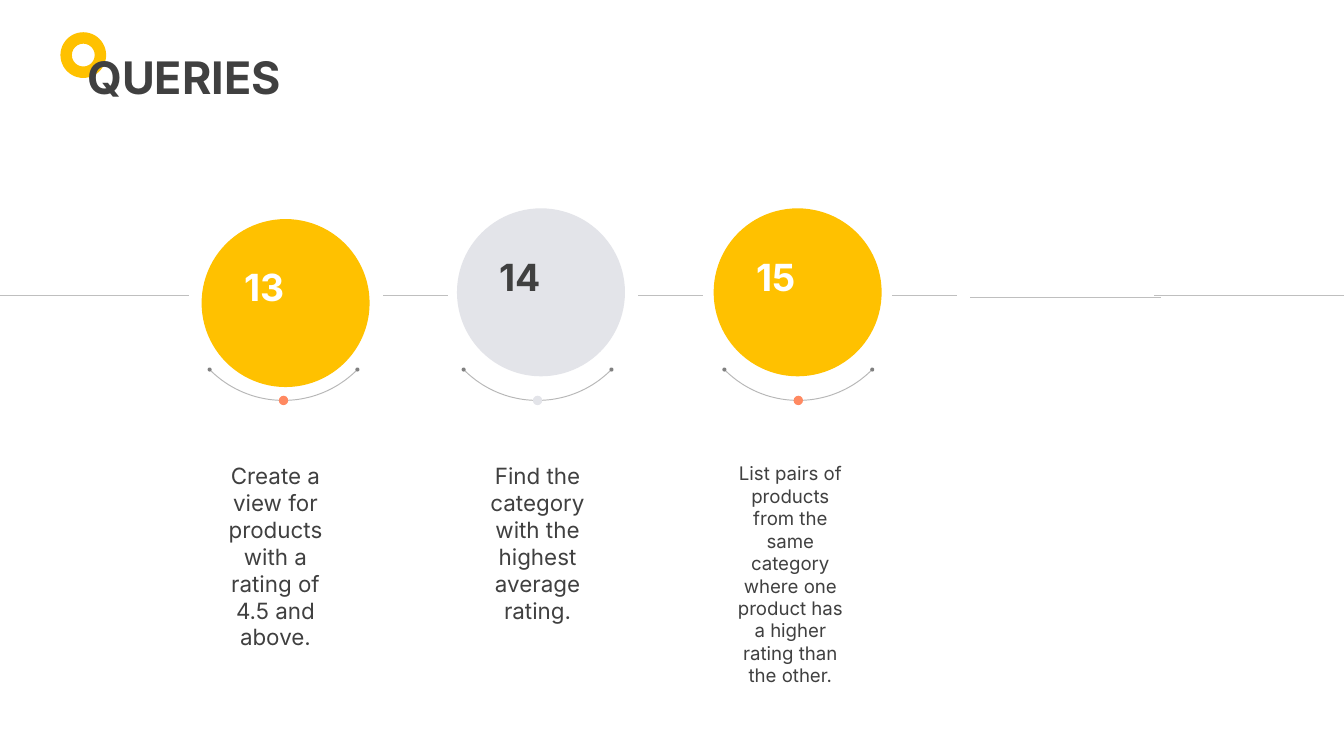
from dataclasses import dataclass
from math import asin, cos, pi, sin

from lxml.etree import SubElement
from pptx import Presentation
from pptx.dml.color import RGBColor
from pptx.enum.shapes import MSO_CONNECTOR, MSO_SHAPE
from pptx.enum.text import MSO_ANCHOR, MSO_AUTO_SIZE, PP_ALIGN
from pptx.oxml.ns import qn
from pptx.util import Inches, Pt


@dataclass(frozen=True)
class Theme:
    font: str = "Inter"
    ink: str = "404040"
    white: str = "FFFFFF"
    yellow: str = "FFC100"
    pale: str = "E3E4E9"
    coral: str = "FF8961"
    rule: str = "BFBFBF"
    arc: str = "B7B7B7"
    arc_end: str = "808080"
    title_size: int = 24
    number_size: int = 20
    body_size: int = 12
    small_size: int = 10
    hairline: float = 0.5


@dataclass(frozen=True)
class Query:
    number: str
    text: str
    circle_left: float
    circle_top: float
    arc_center: float
    text_left: float
    text_height: float
    fill: str
    number_color: str
    dot: str
    text_size: int


THEME = Theme()

QUERIES = [
    Query("13", "Create a view for products with a rating of 4.5 and above.",
          1.5, 1.63, 2.11, 1.51, 1.51,
          THEME.yellow, THEME.white, THEME.coral, THEME.body_size),
    Query("14", "Find the category with the highest average rating.",
          3.4, 1.55, 4.0, 3.46, 1.31,
          THEME.pale, THEME.ink, THEME.pale, THEME.body_size),
    Query("15", "List pairs of products from the same category where one "
          "product has a higher rating than the other.",
          5.31, 1.55, 5.94, 5.34, 1.78,
          THEME.yellow, THEME.white, THEME.coral, THEME.small_size),
]

# Timeline pieces: left, right, height on the slide
TIMELINE = [(-0.01, 1.41, 2.2), (2.85, 3.33, 2.2), (4.75, 5.23, 2.2),
            (6.64, 7.12, 2.2), (7.22, 8.64, 2.21), (8.59, 10.01, 2.2)]

CIRCLE_SIZE = 1.25
ARC_HALF_WIDTH = 0.55
ARC_BOTTOM = 2.98
ARC_SAG = 0.23
ARC_STEPS = 40


def rgb(color):
    return RGBColor.from_string(color)


def write(shape, text, size, color, bold=False, align=PP_ALIGN.LEFT, wrap=True):
    tf = shape.text_frame
    tf.word_wrap = wrap
    tf.auto_size = MSO_AUTO_SIZE.SHAPE_TO_FIT_TEXT
    tf.vertical_anchor = MSO_ANCHOR.TOP
    tf.text = text
    p = tf.paragraphs[0]
    p.alignment = align
    p.font.name = THEME.font
    p.font.size = Pt(size)
    p.font.bold = bold
    p.font.color.rgb = rgb(color)


def add_text(s, left, top, width, height, *args, **kwargs):
    box = s.shapes.add_textbox(Inches(left), Inches(top), Inches(width), Inches(height))
    write(box, *args, **kwargs)


def add_round(s, left, top, size, color, kind=MSO_SHAPE.OVAL):
    sp = s.shapes.add_shape(kind, Inches(left), Inches(top), Inches(size), Inches(size))
    sp.shadow.inherit = False
    sp.fill.solid()
    sp.fill.fore_color.rgb = rgb(color)
    sp.line.fill.background()
    return sp


def add_dot(s, x, y, size, color):
    """Add a dot centred on x, y."""
    add_round(s, x - size / 2, y - size / 2, size, color)


def add_rule(s, left, right, y):
    line = s.shapes.add_connector(MSO_CONNECTOR.STRAIGHT, Inches(left), Inches(y),
                                  Inches(right), Inches(y))
    line.line.color.rgb = rgb(THEME.rule)
    line.line.width = Pt(THEME.hairline)
    SubElement(line.element.spPr, qn("a:effectLst"))


def add_arc(s, center, dot_color):
    """Add a shallow bowl-shaped arc with end dots and a middle dot."""
    radius = (ARC_HALF_WIDTH ** 2 + ARC_SAG ** 2) / (2 * ARC_SAG)
    half_angle = asin(ARC_HALF_WIDTH / radius)
    middle_y = ARC_BOTTOM - radius
    angles = [pi / 2 + half_angle * (1 - 2 * i / ARC_STEPS) for i in range(ARC_STEPS + 1)]
    points = [(center + radius * cos(a), middle_y + radius * sin(a)) for a in angles]
    outline = [(Inches(x), Inches(y)) for x, y in points]
    builder = s.shapes.build_freeform(*outline[0])
    builder.add_line_segments(outline[1:], close=False)
    arc = builder.convert_to_shape()
    arc.shadow.inherit = False
    arc.fill.background()
    arc.line.color.rgb = rgb(THEME.arc)
    arc.line.width = Pt(THEME.hairline)
    for x, y in (points[0], points[-1]):
        add_dot(s, x, y, 0.03, THEME.arc_end)
    add_dot(s, center, ARC_BOTTOM, 0.07, dot_color)


def add_query(s, query):
    add_round(s, query.circle_left, query.circle_top, CIRCLE_SIZE, query.fill)
    add_text(s, query.circle_left + 0.22, query.circle_top + 0.29, 0.52, 0.44,
             query.number, THEME.number_size, query.number_color, bold=True, wrap=False)
    add_arc(s, query.arc_center, query.dot)
    add_text(s, query.text_left, 3.39, 1.08, query.text_height,
             query.text, query.text_size, THEME.ink, align=PP_ALIGN.CENTER)


def add_title(s, text):
    """Place the title in front of its ring."""
    ring = add_round(s, 0.45, 0.24, 0.34, THEME.yellow, MSO_SHAPE.DONUT)
    ring.adjustments[0] = 0.25
    title = s.shapes.title
    title.left, title.top = Inches(0.55), Inches(0.32)
    title.width, title.height = Inches(3.27), Inches(0.5)
    write(title, text, THEME.title_size, THEME.ink, bold=True)
    ring.element.addnext(title.element)


def main():
    prs = Presentation()
    prs.slide_width = Inches(10)
    prs.slide_height = Inches(10 * 9 / 16)
    s = prs.slides.add_slide(prs.slide_layouts.get_by_name("Title Only"))
    for left, right, y in TIMELINE:
        add_rule(s, left, right, y)
    for query in QUERIES:
        add_query(s, query)
    add_title(s, "QUERIES")
    prs.save("out.pptx")


if __name__ == "__main__":
    main()
